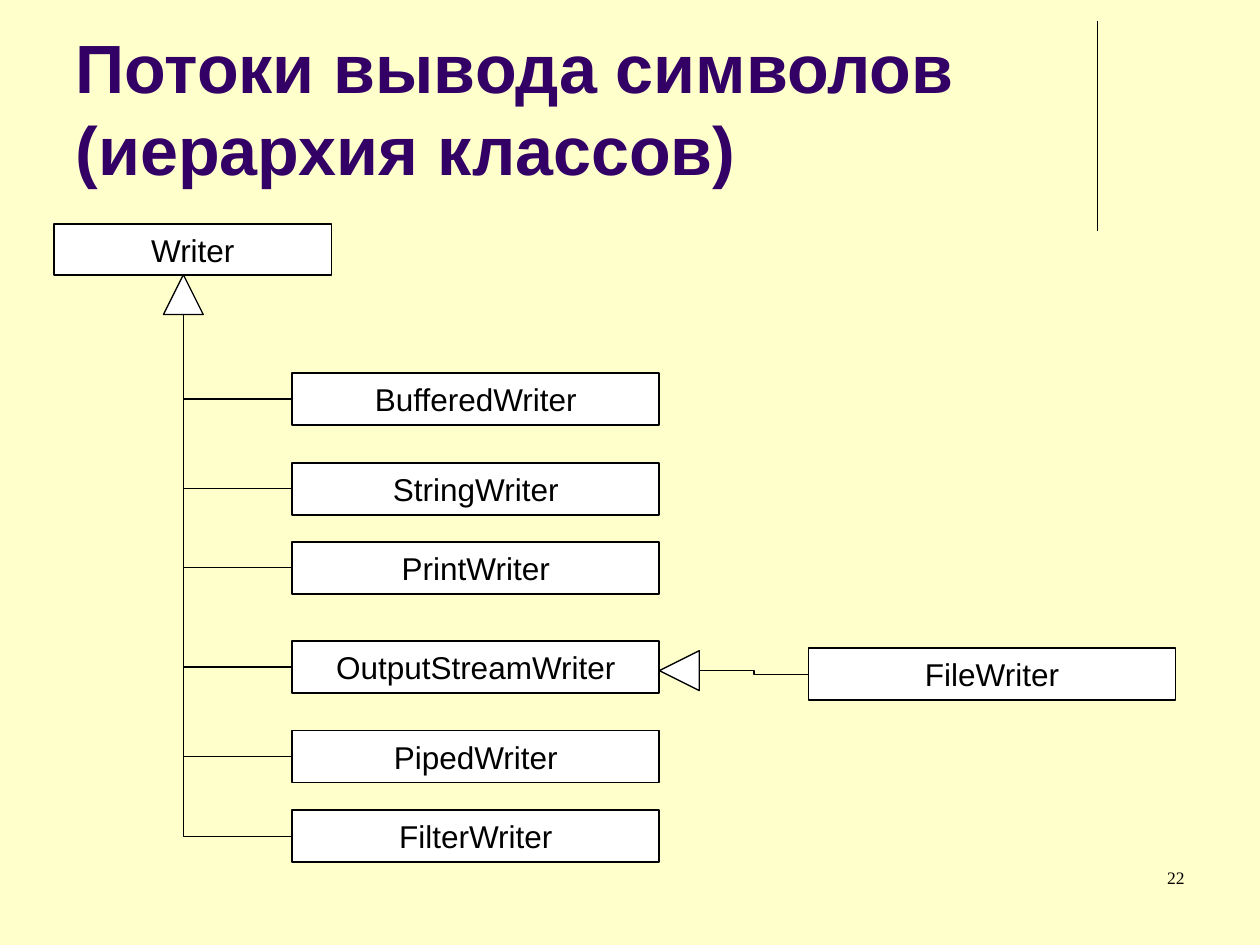
import pptx
import pptx.dml.color
import pptx.enum.shapes
import pptx.enum.text
import pptx.oxml.ns
import pptx.oxml.xmlchemy
import pptx.util
from lxml import etree

Pt = pptx.util.Pt
RGBColor = pptx.dml.color.RGBColor
Align = pptx.enum.text.PP_ALIGN
Anchor = pptx.enum.text.MSO_ANCHOR
Shape = pptx.enum.shapes.MSO_SHAPE
Connector = pptx.enum.shapes.MSO_CONNECTOR
qn = pptx.oxml.ns.qn

CREAM = RGBColor(0xFF, 0xFF, 0xCC)
PURPLE = RGBColor(0x33, 0x00, 0x66)
WHITE = RGBColor(0xFF, 0xFF, 0xFF)
BLACK = RGBColor(0x00, 0x00, 0x00)

TITLE = "Потоки вывода символов (иерархия классов)"
PAGE_NUMBER = "22"
ROOT = ("Writer", 31, 128.2, 158.4, 28.8)
SUBCLASSES = [
    ("BufferedWriter", 213.2),
    ("StringWriter", 264.4),
    ("PrintWriter", 309.6),
    ("OutputStreamWriter", 366.2),
    ("PipedWriter", 417.4),
    ("FilterWriter", 463),
]
FILE_WRITER = ("FileWriter", 462, 370.4)

SUBCLASS_LEFT, CLASS_WIDTH, CLASS_HEIGHT = 167, 209.8, 29.8
TRUNK_X = 104.8
TRIANGLE = 22.8


def write_text(shape, text, size=18, font="Arial", color=BLACK, bold=False,
               align=Align.CENTER, anchor=Anchor.MIDDLE):
    frame = shape.text_frame
    frame.word_wrap = True
    frame.auto_size = pptx.enum.text.MSO_AUTO_SIZE.NONE
    frame.vertical_anchor = anchor
    paragraph = frame.paragraphs[0]
    paragraph.alignment = align
    run = paragraph.add_run()
    run.text = text
    run.font.size = Pt(size)
    run.font.name = font
    run.font.bold = bold
    run.font.color.rgb = color


def add_outlined(slide, kind, left, top, width, height, line_width):
    shape = slide.shapes.add_shape(kind, Pt(left), Pt(top), Pt(width), Pt(height))
    shape.shadow.inherit = False
    shape.fill.solid()
    shape.fill.fore_color.rgb = WHITE
    shape.line.color.rgb = BLACK
    shape.line.width = Pt(line_width)
    return shape


def add_class(slide, name, left, top, width=CLASS_WIDTH, height=CLASS_HEIGHT):
    write_text(add_outlined(slide, Shape.RECTANGLE, left, top, width, height, 1), name)


def add_triangle(slide, left, top, rotation=0):
    shape = add_outlined(slide, Shape.FLOWCHART_EXTRACT, left, top, TRIANGLE, TRIANGLE, 0.75)
    shape.rotation = rotation


def add_line(slide, kind, start, end, preset=None):
    line = slide.shapes.add_connector(kind, *(Pt(value) for value in start + end))
    line.line.color.rgb = BLACK
    line.line.width = Pt(0.75)
    properties = line._element.spPr
    etree.SubElement(properties, qn("a:effectLst"))
    if preset:
        properties.find(qn("a:prstGeom")).set("prst", preset)


def main():
    presentation = pptx.Presentation()
    presentation.slide_width, presentation.slide_height = Pt(720), Pt(540)
    slide = presentation.slides.add_slide(presentation.slide_layouts[5])
    slide.background.fill.solid()
    slide.background.fill.fore_color.rgb = CREAM

    add_line(slide, Connector.STRAIGHT, (627, 12), (627, 132))

    title = slide.shapes.title
    title.left, title.top, title.width, title.height = Pt(36), Pt(9.4), Pt(594), Pt(102.2)
    write_text(title, TITLE, size=39, color=PURPLE, bold=True,
               align=Align.LEFT, anchor=Anchor.BOTTOM)

    add_class(slide, *ROOT)
    root_bottom = ROOT[2] + ROOT[4]
    trunk_top = root_bottom + TRIANGLE
    add_triangle(slide, TRUNK_X - TRIANGLE / 2, root_bottom)

    for name, top in SUBCLASSES:
        add_class(slide, name, SUBCLASS_LEFT, top)
        add_line(slide, Connector.ELBOW, (SUBCLASS_LEFT, top + CLASS_HEIGHT / 2),
                 (TRUNK_X, trunk_top), preset="bentConnector2")

    add_class(slide, *FILE_WRITER)
    triangle_left, triangle_top = SUBCLASS_LEFT + CLASS_WIDTH, 371.8
    add_triangle(slide, triangle_left, triangle_top, rotation=270)
    add_line(slide, Connector.ELBOW, (FILE_WRITER[1], FILE_WRITER[2] + CLASS_HEIGHT / 2),
             (triangle_left + TRIANGLE, triangle_top + TRIANGLE / 2))

    number = slide.shapes.add_textbox(Pt(516), Pt(492), Pt(168), Pt(36))
    write_text(number, PAGE_NUMBER, size=10, font="Times New Roman",
               align=Align.RIGHT, anchor=Anchor.TOP)

    presentation.save("out.pptx")


if __name__ == "__main__":
    main()
